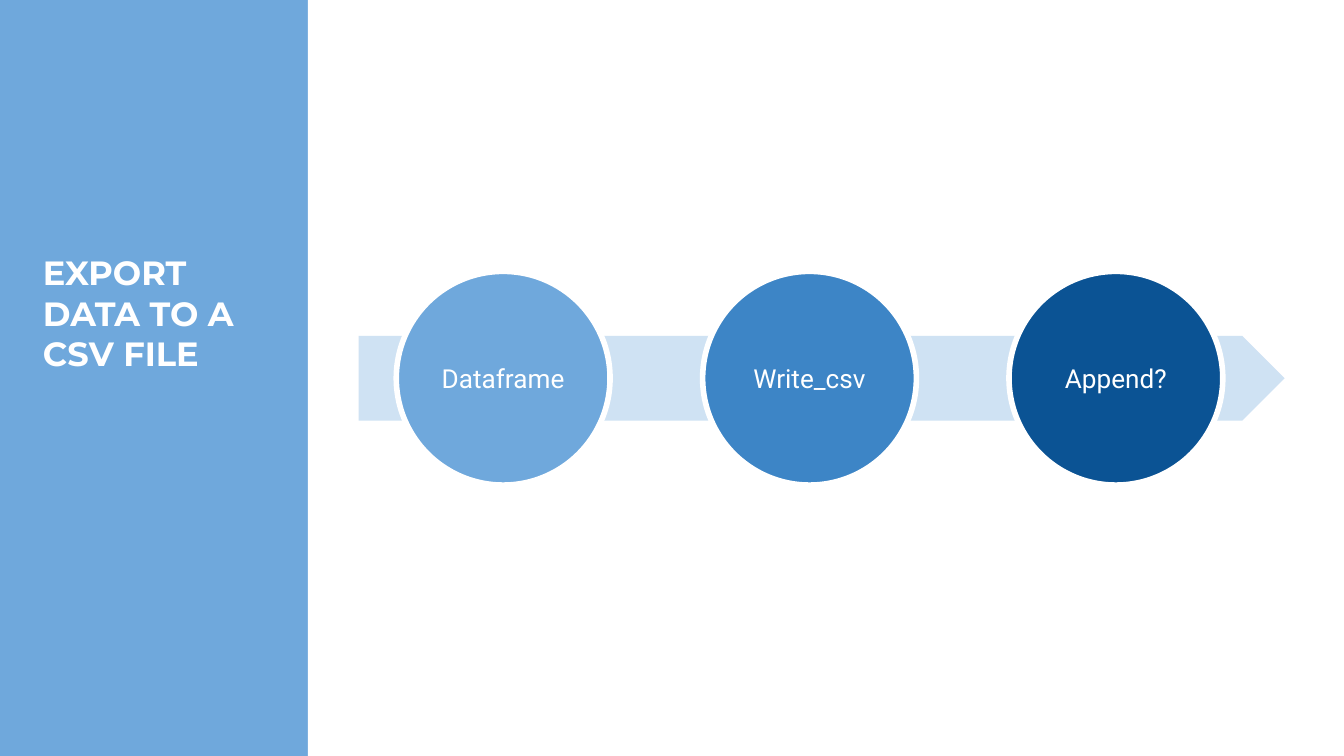
"""Build a slide showing the three steps of exporting data to a CSV file."""
from pptx import Presentation
from pptx.dml.color import RGBColor
from pptx.enum.shapes import MSO_SHAPE
from pptx.enum.text import MSO_ANCHOR, MSO_AUTO_SIZE, PP_ALIGN
from pptx.util import Cm, Pt

WHITE = RGBColor(0xFF, 0xFF, 0xFF)
PALE_BLUE = RGBColor(0xCF, 0xE2, 0xF3)
LIGHT_BLUE = RGBColor(0x6F, 0xA8, 0xDC)
MID_BLUE = RGBColor(0x3D, 0x85, 0xC6)
DARK_BLUE = RGBColor(0x0B, 0x53, 0x94)

STEPS = [("Dataframe", LIGHT_BLUE), ("Write_csv", MID_BLUE), ("Append?", DARK_BLUE)]
FIRST_LEFT, STEP_PITCH, STEP_TOP, DIAMETER = 7.49, 5.79, 5.13, 4.04


def add_filled(slide, kind, left, top, width, height, color):
    shape = slide.shapes.add_shape(kind, Cm(left), Cm(top), Cm(width), Cm(height))
    shape.shadow.inherit = False
    shape.fill.solid()
    shape.fill.fore_color.rgb = color
    shape.line.fill.background()
    return shape


def write_text(shape, text, font_name, size, align, anchor):
    frame = shape.text_frame
    frame.text = text
    frame.word_wrap = True
    frame.auto_size = MSO_AUTO_SIZE.NONE
    frame.vertical_anchor = anchor
    frame.margin_left = frame.margin_right = Cm(0.25)
    frame.margin_top = frame.margin_bottom = Cm(0.25)
    paragraph = frame.paragraphs[0]
    paragraph.alignment = align
    font = paragraph.runs[0].font
    font.name = font_name
    font.size = Pt(size)
    font.color.rgb = WHITE
    return font


presentation = Presentation()
presentation.slide_width = Cm(25.4)
presentation.slide_height = Cm(14.29)
slide = presentation.slides.add_slide(presentation.slide_layouts[5])
slide.background.fill.solid()
slide.background.fill.fore_color.rgb = LIGHT_BLUE

title = slide.shapes.title
title.left, title.top, title.width, title.height = Cm(0.56), Cm(4.52), Cm(4.75), Cm(2.39)
title_font = write_text(title, "EXPORT DATA TO A CSV FILE", "Montserrat", 18,
                        PP_ALIGN.LEFT, MSO_ANCHOR.TOP)
title_font.bold = True

add_filled(slide, MSO_SHAPE.RECTANGLE, 5.82, 0, 19.58, 14.29, WHITE)
add_filled(slide, MSO_SHAPE.PENTAGON, 6.78, 6.35, 17.5, 1.6, PALE_BLUE)

for index, (label, color) in enumerate(STEPS):
    step = add_filled(slide, MSO_SHAPE.OVAL, FIRST_LEFT + index * STEP_PITCH, STEP_TOP,
                      DIAMETER, DIAMETER, color)
    step.line.color.rgb = WHITE
    step.line.width = Pt(3)
    write_text(step, label, "Roboto", 14, PP_ALIGN.CENTER, MSO_ANCHOR.MIDDLE)

presentation.save("out.pptx")
